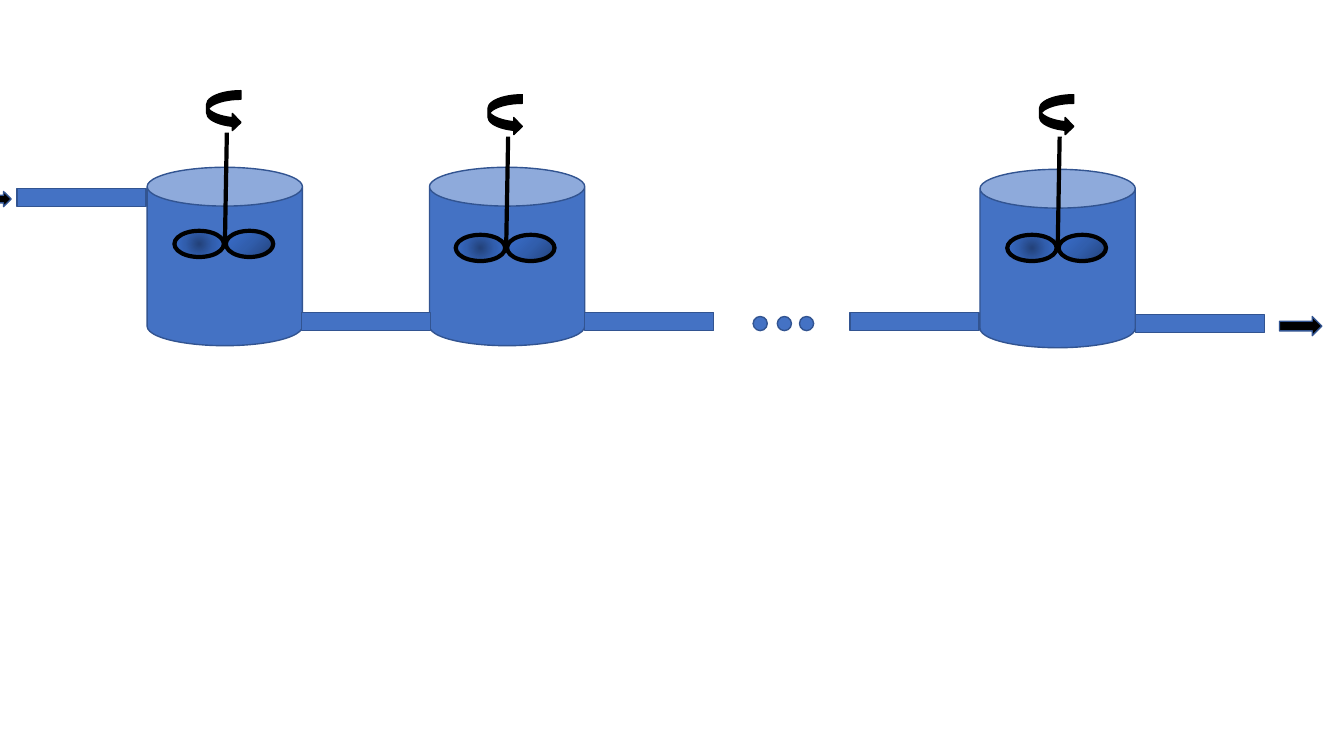
from lxml import etree
from pptx import Presentation
from pptx import util as u
from pptx.dml.color import RGBColor
from pptx.enum import shapes
from pptx.oxml import parse_xml
from pptx.oxml.ns import nsdecls, qn

CELL = u.Inches(0.1)  # one column or row of the drawing grid

BLUE = RGBColor(0x44, 0x72, 0xC4)
EDGE = RGBColor(0x32, 0x54, 0x91)
BLACK = RGBColor(0, 0, 0)
BLADE_STOPS = [(0, RGBColor(0x23, 0x42, 0x7A)),
               (50, RGBColor(0x31, 0x5E, 0xAD)),
               (100, RGBColor(0x3A, 0x6F, 0xCE))]
RADIAL = ('<a:path path="circle"><a:fillToRect l="50000" t="50000" '
          'r="50000" b="50000"/></a:path>')
LINEAR = '<a:lin ang="13500000" scaled="1"/>'

KIND = shapes.MSO_SHAPE
PIPE_W, PIPE_H = 12.8, 1.8
TANK_W, TANK_H = 15.4, 17.7


def cells(*counts):
    return [round(n * CELL) for n in counts]


def set_line(s, color, width):
    s.line.color.rgb = color
    s.line.width = u.Pt(width)


def add_part(slide, kind, left, top, width, height, fill=BLUE, edge=EDGE,
             weight=1):
    s = slide.shapes.add_shape(kind, *cells(left, top, width, height))
    s.shadow.inherit = False
    s.fill.solid()
    s.fill.fore_color.rgb = fill
    set_line(s, edge, weight)
    return s


def add_pipe(slide, left, top):
    add_part(slide, KIND.RECTANGLE, left, top, PIPE_W, PIPE_H)


def add_tank(slide, left, top):
    add_part(slide, KIND.CAN, left, top, TANK_W, TANK_H)


def add_blade(slide, left, top, width, shading):
    s = add_part(slide, KIND.OVAL, left, top, width, 2.6, edge=BLACK, weight=3)
    stops = "".join(f'<a:gs pos="{pos * 1000}"><a:srgbClr val="{color}"/></a:gs>'
                    for pos, color in BLADE_STOPS)
    grad = parse_xml(f'<a:gradFill {nsdecls("a")} rotWithShape="1">'
                     f'<a:gsLst>{stops}</a:gsLst>{shading}</a:gradFill>')
    sp_pr = s._element.spPr
    sp_pr.replace(sp_pr.find(qn("a:solidFill")), grad)


def add_mixer(slide, left, top):
    # Shaft
    shaft = slide.shapes.add_connector(
        shapes.MSO_CONNECTOR.STRAIGHT,
        *cells(left + 5.2, top + 4.15, left + 5, top + 15.5))
    set_line(shaft, BLACK, 3)
    etree.SubElement(shaft._element.spPr, qn("a:effectLst"))
    # Blades and rotation arrow
    add_blade(slide, left, top + 13.9, 4.9, RADIAL)
    add_blade(slide, left + 5.1, top + 13.9, 4.7, LINEAR)
    add_part(slide, KIND.CURVED_RIGHT_ARROW, left + 3.2, top, 3.4, 4,
             fill=BLACK, edge=BLACK)


def main():
    prs = Presentation()
    prs.slide_width, prs.slide_height = u.Inches(13.33), u.Inches(7.5)
    slide = prs.slides.add_slide(prs.slide_layouts[6])

    # Tanks in series, each with its mixer
    for tank_left, tank_top, mixer_left, mixer_top in [
            (14.6, 16.6, 17.3, 9), (42.6, 16.6, 45.2, 9.4),
            (97.2, 16.8, 99.9, 9.4)]:
        add_tank(slide, tank_left, tank_top)
        add_mixer(slide, mixer_left, mixer_top)

    # Pipes: inlet, links and outlet
    for left, top in [(1.7, 18.7), (29.9, 31), (58, 31), (84.3, 31),
                      (112.6, 31.2)]:
        add_pipe(slide, left, top)

    # Flow arrows
    for box in [(-1.8, 19, 2.9, 1.5), (126.9, 31.4, 4.2, 1.9)]:
        add_part(slide, KIND.RIGHT_ARROW, *box, fill=BLACK)

    # Dots for the tanks left out
    for left in (74.7, 77.1, 79.3):
        add_part(slide, KIND.OVAL, left, 31.4, 1.4, 1.4)

    prs.save("out.pptx")


if __name__ == "__main__":
    main()
